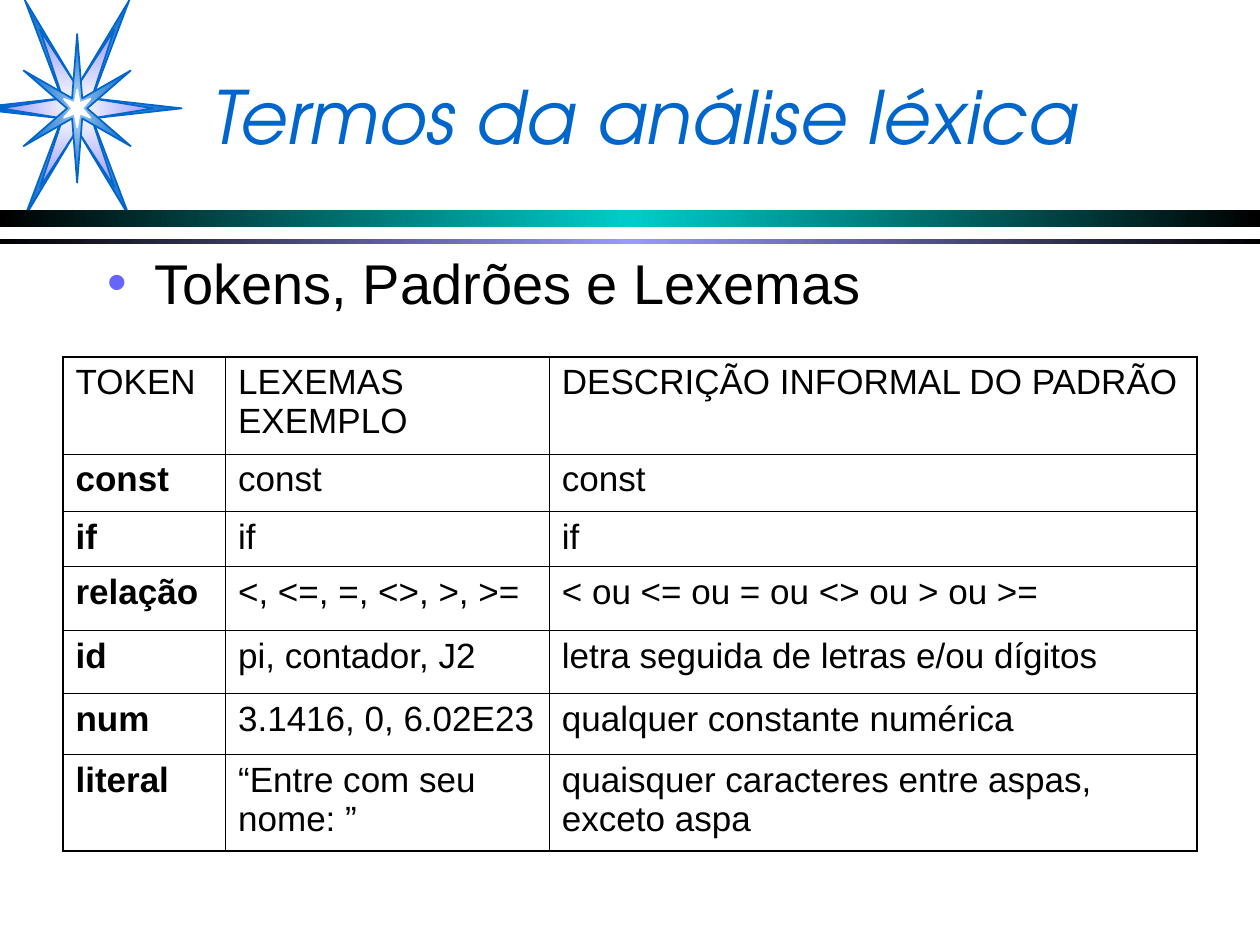
"""Build the slide on the terms of lexical analysis."""
from lxml import etree
from pptx import Presentation, util as u
from pptx.dml.color import RGBColor
from pptx.enum import text
from pptx.enum.shapes import MSO_SHAPE
from pptx.oxml import parse_xml
from pptx.oxml.ns import nsdecls, qn

THEME = {
    "blue": "0066CC", "sky": "7EB1E4", "pale": "98C1E9", "lilac": "9999FF",
    "bullet": "6666FF", "teal": "00CCCC", "white": "FFFFFF", "near_white": "FEFEFE", "black": "000000",
    "title": {"size": u.Pt(42), "name": "TeX Gyre Adventor", "italic": True},
    "body": {"size": u.Pt(32), "name": "Arial"},
    "cell": {"size": u.Pt(20), "name": "Arial"},
    "outer": 1.08, "inner": 0.45,
}
CELL = 0.25
COLS, ROWS = 40, 30


def grid(*lengths):
    return [u.Inches(n * CELL) for n in lengths]


def gradient(sp, colors, direction):
    sp.fill.gradient()
    grad = sp._element.spPr.find(qn("a:gradFill"))
    for child in list(grad):
        grad.remove(child)
    stops = "".join(
        f'<a:gs pos="{100000 * i // (len(colors) - 1)}"><a:srgbClr val="{THEME[c]}"/></a:gs>'
        for i, c in enumerate(colors))
    grad.append(parse_xml(f'<a:gsLst {nsdecls("a")}>{stops}</a:gsLst>'))
    grad.append(parse_xml(direction))


LINEAR = f'<a:lin {nsdecls("a")} ang="10800000" scaled="0"/>'
CENTRED = (f'<a:path {nsdecls("a")} path="rect">'
           '<a:fillToRect l="50000" t="50000" r="50000" b="50000"/></a:path>')

prs = Presentation()
prs.slide_width, prs.slide_height = grid(COLS, ROWS)
s = prs.slides.add_slide(prs.slide_layouts[1])
title, body = s.placeholders

cx, cy, cut = 2.45, 3.44, 0.1
stars = [
    ([(0, 0.68), (1.66, 3.44), (0.48, 0.32), (3.32, 0)], ("sky", "blue"), "blue"),
    ([(0, 0.68), (1.18, 2.5), (0.46, 0.32), (2.42, 0)], ("near_white", "lilac"), "blue"),
    ([(0, 2.36), (0.16, 0.32), (1.7, 1.2), (0.32, 0)], ("pale", "blue"), "blue"),
    ([(0, 0.6), (0.08, 0.16), (0.42, 0.3), (0.16, 0)], None, "white"),
]
group = s.shapes.add_group_shape()
for quarter, colors, line in stars:
    right = [(x, -y) for x, y in quarter] + [(x, y) for x, y in quarter[-2::-1]]
    outline = right + [(-x, y) for x, y in right[-2:0:-1]]
    points = []
    for x, y in outline:
        tip = [(cx + x, cy + y)] if cx + x >= 0 else [(0, cy + cut), (0, cy - cut)]
        points += [grid(*point) for point in tip]
    builder = group.shapes.build_freeform(*points[0])
    builder.add_line_segments(points[1:], close=True)
    sp = builder.convert_to_shape()
    sp.shadow.inherit = False
    if colors:
        gradient(sp, colors, CENTRED)
    else:
        sp.fill.solid()
        sp.fill.fore_color.rgb = RGBColor.from_string(THEME["white"])
    sp.line.color.rgb = RGBColor.from_string(THEME[line])
    sp.line.width = u.Pt(1)

for top, height, color in [(6.68, 0.52, "teal"), (7.6, 0.16, "lilac")]:
    sp = s.shapes.add_shape(MSO_SHAPE.RECTANGLE, *grid(0, top, COLS, height))
    sp.shadow.inherit = False
    sp.line.fill.background()
    gradient(sp, ("black", color, "black"), LINEAR)

headings = [
    (title, "Termos da análise léxica", (6.32, 1, 30.68, 5.32), "title", "blue", text.MSO_ANCHOR.MIDDLE),
    (body, "Tokens, Padrões e Lexemas", (3, 7.68, 34, 3), "body", "black", text.MSO_ANCHOR.TOP),
]
for sp, words, box, style, color, anchor in headings:
    sp.left, sp.top, sp.width, sp.height = grid(*box)
    tf = sp.text_frame
    tf.auto_size, tf.vertical_anchor, tf.word_wrap = text.MSO_AUTO_SIZE.NONE, anchor, True
    p = tf.paragraphs[0]
    p.alignment, p.space_before = text.PP_ALIGN.LEFT, u.Pt(0)
    r = p.add_run()
    r.text = words
    for key, value in THEME[style].items():
        setattr(r.font, key, value)
    r.font.color.rgb = RGBColor.from_string(THEME[color])

pPr = body.text_frame.paragraphs[0]._p.get_or_add_pPr()
indent = grid(1.5)[0]
pPr.set("marL", str(indent))
pPr.set("indent", str(-indent))
clr = etree.SubElement(pPr, qn("a:buClr"))
etree.SubElement(clr, qn("a:srgbClr"), val=THEME["bullet"])
etree.SubElement(pPr, qn("a:buChar"), char="•")

rows = [
    ("TOKEN", "LEXEMAS EXEMPLO", "DESCRIÇÃO INFORMAL DO PADRÃO"),
    ("const", "const", "const"),
    ("if", "if", "if"),
    ("relação", "<, <=, =, <>, >, >=", "< ou <= ou = ou <> ou > ou >="),
    ("id", "pi, contador, J2", "letra seguida de letras e/ou dígitos"),
    ("num", "3.1416, 0, 6.02E23", "qualquer constante numérica"),
    ("literal", "“Entre com seu nome: ”", "quaisquer caracteres entre aspas, exceto aspa"),
]
widths = grid(5.16, 10.28, 20.56)
heights = grid(3.08, 1.82, 1.75, 2.03, 2, 1.94, 3.08)
left, top = grid(2, 11.33)
table = s.shapes.add_table(len(rows), len(widths), left, top, sum(widths), sum(heights)).table
table.first_row = table.horz_banding = False
for col, width in zip(table.columns, widths):
    col.width = width
for i, (row, height) in enumerate(zip(rows, heights)):
    table.rows[i].height = height
    for j, words in enumerate(row):
        cell = table.cell(i, j)
        r = cell.text_frame.paragraphs[0].add_run()
        r.text = words
        for key, value in {**THEME["cell"], "bold": i > 0 and j == 0}.items():
            setattr(r.font, key, value)
        r.font.color.rgb = RGBColor.from_string(THEME["black"])
        edges = {"L": j == 0, "R": j == len(row) - 1, "T": i == 0, "B": i == len(rows) - 1}
        tcPr = cell._tc.get_or_add_tcPr()
        for side, outer in edges.items():
            weight = u.Pt(THEME["outer" if outer else "inner"])
            ln = etree.SubElement(tcPr, qn(f"a:ln{side}"), w=str(weight))
            fill = etree.SubElement(ln, qn("a:solidFill"))
            etree.SubElement(fill, qn("a:srgbClr"), val=THEME["black"])
        cell.fill.background()

prs.save("out.pptx")
